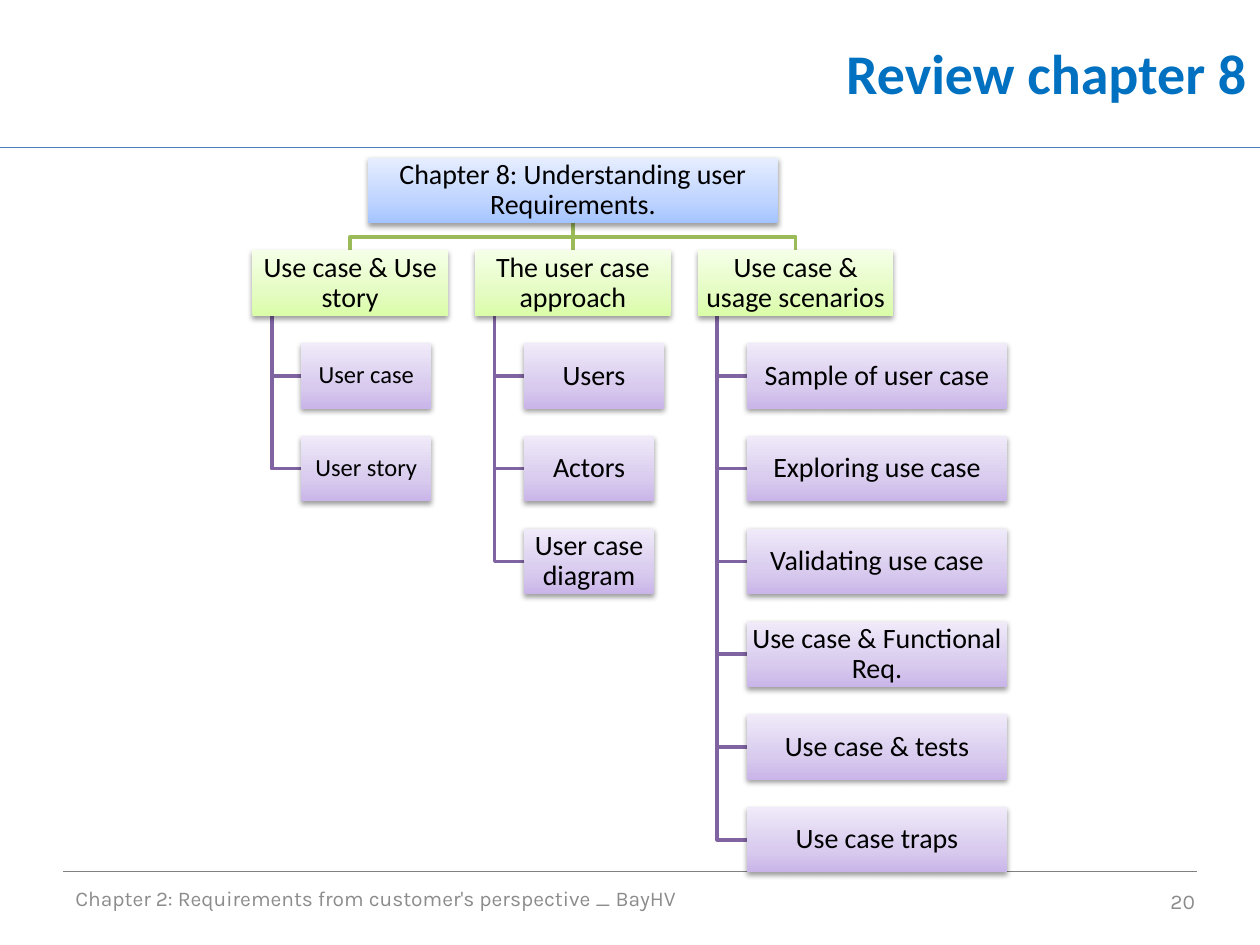
from lxml.etree import SubElement
from pptx import Presentation
from pptx.dml.color import RGBColor
from pptx.enum.shapes import MSO_CONNECTOR, MSO_SHAPE
from pptx.enum.text import MSO_ANCHOR, PP_ALIGN
from pptx.oxml.ns import qn
from pptx.util import Cm, Pt

# Content
TITLE = "Review chapter 8"
FOOTER = "Chapter 2: Requirements from customer's perspective _ BayHV"
PAGE = "20"
ROOT = "Chapter 8: Understanding user Requirements."
# heading, child text size, children as (text, width in cm)
BRANCHES = [
    ("Use case & Use story", 14, [("User case", 2.63), ("User story", 2.63)]),
    ("The user case approach", 16,
     [("Users", 2.83), ("Actors", 2.63), ("User case diagram", 2.63)]),
    ("Use case & usage scenarios", 16,
     [(text, 5.26) for text in (
         "Sample of user case", "Exploring use case", "Validating use case",
         "Use case & Functional Req.", "Use case & tests", "Use case traps")]),
]
COLORS = {"title": "0070C0", "footer": "8C8C8C", "text": "000000",
          "title rule": "4B7EBC", "footer rule": "808080",
          "branch": "9BBB59", "leaf": "8064A2", "shadow": "000000"}
GRADIENTS = {"root": ("A4C4FF", "BFD4FF", "E6EEFF"),
             "branch": ("DAFDA7", "E4FCC2", "F5FFE7"),
             "leaf": ("C9B5E8", "D8CBEE", "F0EAF9")}

# Tree measures in cm
LEFT, TOP = 5.09, 3.18
COL_STEP, ROW_STEP = 4.49, 1.87
BOX_H, ROOT_W, HEAD_W = 1.32, 8.26, 3.94
SPINE, INDENT = 0.39, 0.98

prs = Presentation()
prs.slide_width, prs.slide_height = Cm(25.4), Cm(19.05)
s = prs.slides.add_slide(prs.slide_layouts[6])


def rgb(name):
    return RGBColor.from_string(COLORS[name])


def write(sp, text, size, color, align, font="Calibri", bold=False):
    tf = sp.text_frame
    tf.word_wrap = True
    tf.vertical_anchor = MSO_ANCHOR.MIDDLE
    p = tf.paragraphs[0]
    p.text, p.alignment = text, align
    p.font.name, p.font.size, p.font.bold = font, Pt(size), bold
    p.font.color.rgb = rgb(color)
    return tf


def add_label(x, y, w, h, *args, **kwargs):
    write(s.shapes.add_textbox(Cm(x), Cm(y), Cm(w), Cm(h)), *args, **kwargs)


def add_line(points, color, width):
    """Straight connector for two points, open outline for more."""
    pts = [(Cm(x), Cm(y)) for x, y in points]
    if len(pts) == 2:
        sp = s.shapes.add_connector(MSO_CONNECTOR.STRAIGHT, *pts[0], *pts[1])
        SubElement(sp._element.spPr, qn("a:effectLst"))
    else:
        builder = s.shapes.build_freeform(*pts[0])
        builder.add_line_segments(pts[1:], close=False)
        sp = builder.convert_to_shape()
        sp.fill.background()
        sp.shadow.inherit = False
    sp.line.color.rgb = rgb(color)
    sp.line.width = Pt(width)


def add_color(parent, value):
    return SubElement(parent, qn("a:srgbClr"), val=value)


def add_box(x, y, w, text, kind, size=16):
    sp = s.shapes.add_shape(MSO_SHAPE.RECTANGLE, Cm(x), Cm(y), Cm(w), Cm(BOX_H))
    sp.line.fill.background()
    sp.shadow.inherit = False
    spPr = sp._element.spPr
    # Gradient fill, light at the top
    grad = SubElement(spPr, qn("a:gradFill"), rotWithShape="1")
    stops = SubElement(grad, qn("a:gsLst"))
    for pos, value in zip((0, 35, 100), GRADIENTS[kind]):
        add_color(SubElement(stops, qn("a:gs"), pos=str(pos * 1000)), value)
    SubElement(grad, qn("a:lin"), ang="16200000", scaled="1")
    spPr.find(qn("a:prstGeom")).addnext(grad)
    # Soft shadow below
    shadow = SubElement(spPr.find(qn("a:effectLst")), qn("a:outerShdw"),
                        blurRad="40000", dist="20000", dir="5400000",
                        rotWithShape="0")
    SubElement(add_color(shadow, COLORS["shadow"]), qn("a:alpha"), val="38000")
    tf = write(sp, text, size, "text", PP_ALIGN.CENTER)
    tf.margin_left = tf.margin_right = tf.margin_top = tf.margin_bottom = Cm(0.03)
    tf.paragraphs[0].line_spacing = 0.9


# Rules, title and footer
add_line([(0, 2.97), (25.4, 2.97)], "title rule", 0.75)
add_line([(1.27, 17.57), (24.13, 17.57)], "footer rule", 0.75)
add_label(7.37, 0, 18.01, 2.92, TITLE, 32, "title", PP_ALIGN.RIGHT, bold=True)
add_label(1.27, 17.6, 16.94, 1.02, FOOTER, 12, "footer", PP_ALIGN.LEFT, "Karla")
add_label(18.42, 17.65, 5.92, 1.02, PAGE, 12, "footer", PP_ALIGN.RIGHT, "Karla")

# Tree grid
root_x = LEFT + COL_STEP + HEAD_W / 2
head_y = TOP + ROW_STEP
root_bottom, head_bottom = TOP + BOX_H, head_y + BOX_H
middle_y = (root_bottom + head_y) / 2
columns = [LEFT + i * COL_STEP for i in range(len(BRANCHES))]


def leaf_y(row):
    return head_y + (row + 1) * ROW_STEP


# Tree lines, behind the boxes
for x, (_, _, leaves) in zip(columns, BRANCHES):
    head_x = x + HEAD_W / 2
    if abs(head_x - root_x) < 0.01:
        add_line([(root_x, root_bottom), (root_x, head_y)], "branch", 2)
    else:
        add_line([(root_x, root_bottom), (root_x, middle_y),
                  (head_x, middle_y), (head_x, head_y)], "branch", 2)
    for row in range(len(leaves)):
        y = leaf_y(row) + BOX_H / 2
        add_line([(x + SPINE, head_bottom), (x + SPINE, y), (x + INDENT, y)],
                 "leaf", 2)

# Tree boxes
add_box(root_x - ROOT_W / 2, TOP, ROOT_W, ROOT, "root")
for x, (heading, size, leaves) in zip(columns, BRANCHES):
    add_box(x, head_y, HEAD_W, heading, "branch")
    for row, (text, width) in enumerate(leaves):
        add_box(x + INDENT, leaf_y(row), width, text, "leaf", size)

prs.save("out.pptx")
